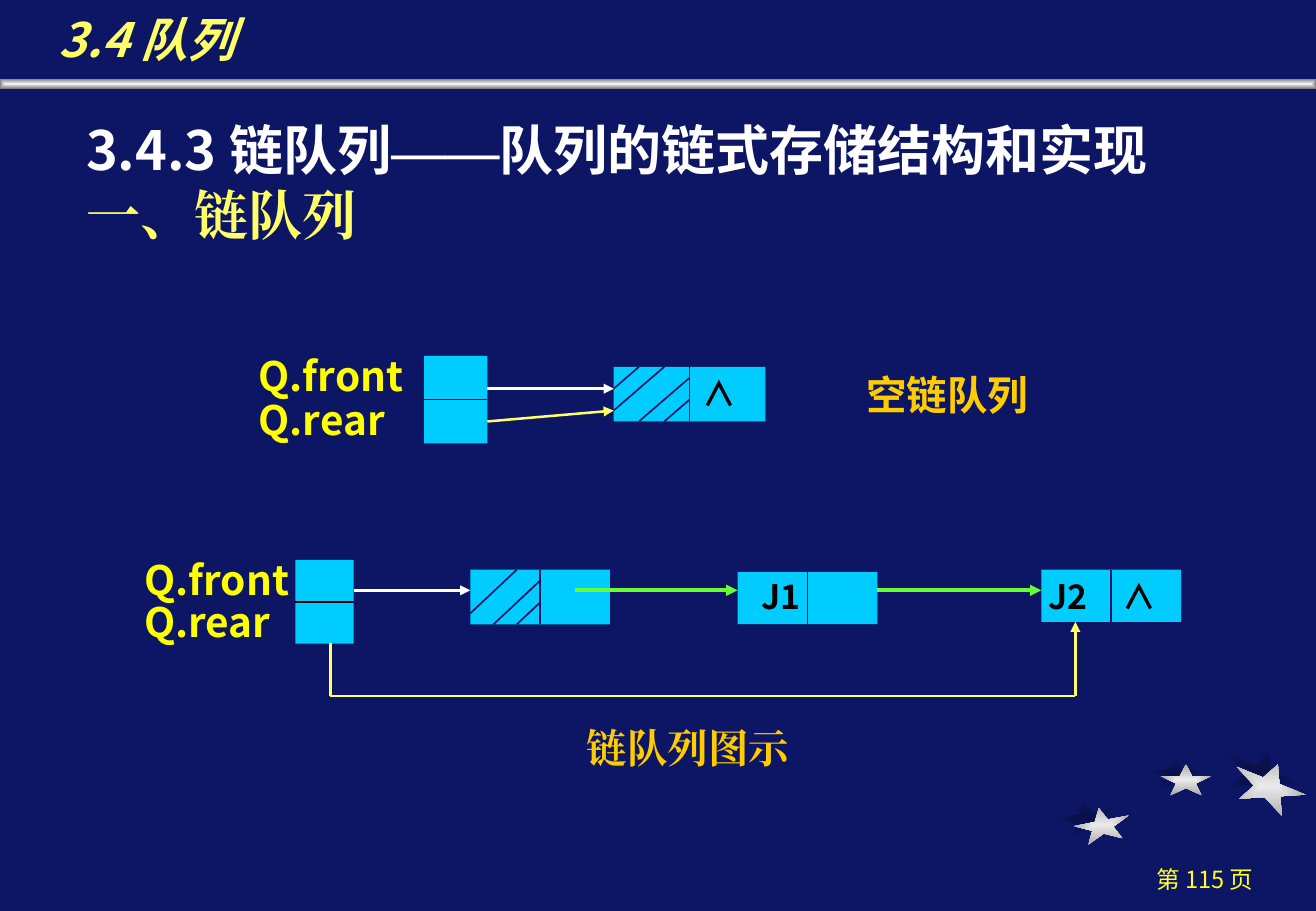
from dataclasses import dataclass

import pptx
import pptx.dml.color
import pptx.enum.dml
import pptx.enum.shapes
import pptx.enum.text
import pptx.oxml
import pptx.oxml.ns
import pptx.util
from pptx.util import Inches

SHAPES = pptx.enum.shapes.MSO_SHAPE
ALIGN = pptx.enum.text.PP_ALIGN


@dataclass(frozen=True)
class Theme:
    sans: str = "Noto Sans CJK SC"
    serif: str = "Times New Roman"
    navy: str = "0D1565"
    shade: str = "090F48"
    cyan: str = "00CCFF"
    white: str = "FFFFFF"
    black: str = "000000"
    pale_yellow: str = "FFFF66"
    yellow: str = "FFFF00"
    page_yellow: str = "FFFF25"
    gold: str = "FFCC00"
    green: str = "66FF33"
    silver: tuple = ("EAEAEA", "A7A7A7")
    steel: tuple = ("F2F2F2", "808080")
    heading_size: int = 32
    title_size: int = 28
    label_size: int = 24
    cell_size: int = 20
    page_size: int = 14


THEME = Theme()


@dataclass(frozen=True)
class Span:
    text: str
    size: int
    color: str
    font: str = THEME.sans
    bold: bool = True
    italic: bool = False


@dataclass(frozen=True)
class Star:
    left: float
    top: float
    width: float
    height: float
    turn: int
    shadow_dx: float
    shadow_dy: float


@dataclass(frozen=True)
class Node:
    left: float
    top: float
    width: float
    height: float
    hatches: tuple = ()


@dataclass(frozen=True)
class PointerPair:
    left: float
    top: float
    width: float
    height: float
    label_left: float
    label_width: float


@dataclass(frozen=True)
class Link:
    start: tuple
    end: tuple
    color: str
    weight: float = 1.5
    arrow: bool = True


def rgb(value: str):
    return pptx.dml.color.RGBColor.from_string(value)


def add_spans(para, spans: list) -> None:
    for item in spans:
        span = para.add_run()
        span.text = item.text
        font = span.font
        font.size, font.bold, font.italic = pptx.util.Pt(item.size), item.bold, item.italic
        font.color.rgb = rgb(item.color)
        font.name = item.font
        east_asian = pptx.oxml.parse_xml(
            f'<a:ea {pptx.oxml.ns.nsdecls("a")} typeface="{item.font}"/>')
        font._element.find(pptx.oxml.ns.qn("a:latin")).addnext(east_asian)


def add_text(page, left: float, top: float, width: float, height: float,
             paras: list, align=ALIGN.LEFT) -> None:
    box = page.shapes.add_textbox(Inches(left), Inches(top), Inches(width), Inches(height))
    frame = box.text_frame
    frame.word_wrap = True
    for index, spans in enumerate(paras):
        para = frame.add_paragraph() if index else frame.paragraphs[0]
        para.alignment = align
        add_spans(para, spans)


def add_block(page, kind, left: float, top: float, width: float, height: float):
    block = page.shapes.add_shape(kind, Inches(left), Inches(top), Inches(width), Inches(height))
    block.shadow.inherit = False
    block.line.fill.background()
    block.fill.solid()
    block.fill.fore_color.rgb = rgb(THEME.cyan)
    return block


def fill_from_centre(block, colors: tuple) -> None:
    block.fill.gradient()
    for stop, color, position in zip(block.fill.gradient_stops, colors, (0, 1)):
        stop.color.rgb = rgb(color)
        stop.position = position
    linear = block._element.spPr.find(".//" + pptx.oxml.ns.qn("a:lin"))
    radial = pptx.oxml.parse_xml(
        f'<a:path {pptx.oxml.ns.nsdecls("a")} path="shape">'
        '<a:fillToRect l="50000" t="50000" r="50000" b="50000"/></a:path>')
    linear.getparent().replace(linear, radial)


def add_link(page, link: Link) -> None:
    line = page.shapes.add_connector(
        pptx.enum.shapes.MSO_CONNECTOR.STRAIGHT,
        *(Inches(value) for value in link.start + link.end))
    line.line.color.rgb = rgb(link.color)
    line.line.width = pptx.util.Pt(link.weight)
    namespace = pptx.oxml.ns.nsdecls("a")
    if link.arrow:
        line.line._get_or_add_ln().append(
            pptx.oxml.parse_xml(f'<a:tailEnd {namespace} type="triangle"/>'))
    line._element.spPr.append(pptx.oxml.parse_xml(f"<a:effectLst {namespace}/>"))


def add_node(page, node: Node) -> None:
    add_block(page, SHAPES.RECTANGLE, node.left, node.top, node.width, node.height)
    half = node.width / 2
    # Ends are fractions of the left half; the first stroke is the divider
    for x1, y1, x2, y2 in ((1, 0, 1, 1),) + node.hatches:
        add_link(page, Link((node.left + x1 * half, node.top + y1 * node.height),
                            (node.left + x2 * half, node.top + y2 * node.height),
                            THEME.navy, 1, False))


def add_pointers(page, pair: PointerPair) -> None:
    add_block(page, SHAPES.RECTANGLE, pair.left, pair.top, pair.width, pair.height)
    middle = pair.top + pair.height / 2
    add_link(page, Link((pair.left, middle), (pair.left + pair.width, middle),
                        THEME.black, 1, False))
    for name, top in (("Q.front", pair.top), ("Q.rear", middle)):
        add_text(page, pair.label_left, top - 0.09, pair.label_width, 0.5,
                 [[Span(name, THEME.label_size, THEME.yellow)]])


LONG_HATCHES = ((2 / 3, 0, 0, 0.8), (1, 0.2, 1 / 3, 1), (1, 0.6, 2 / 3, 1))
STARS = [Star(8.84, 6.65, 0.46, 0.28, 349, 0.13, 0.06),
         Star(9.55, 6.29, 0.42, 0.26, 0, 0.08, 0.05),
         Star(10.14, 6.28, 0.61, 0.38, 22, 0.07, 0.1)]
POINTERS = [PointerPair(3.49, 2.93, 0.52, 0.72, 2.03, 1.56),
            PointerPair(2.43, 4.61, 0.48, 0.69, 1.09, 1.44)]
NODES = [Node(5.05, 3.02, 1.25, 0.45, LONG_HATCHES + ((1 / 3, 0, 0, 0.4),)),
         Node(3.87, 4.69, 1.15, 0.45, LONG_HATCHES),
         Node(6.07, 4.71, 1.15, 0.43),
         Node(8.57, 4.69, 1.15, 0.43)]
LINKS = [Link((4.01, 3.2), (5.05, 3.2), THEME.white),
         Link((4.01, 3.47), (5.05, 3.38), THEME.pale_yellow),
         Link((2.91, 4.86), (3.87, 4.86), THEME.white),
         Link((4.73, 4.86), (6.07, 4.86), THEME.green, 2.25),
         Link((7.22, 4.86), (8.57, 4.86), THEME.green, 2.25),
         Link((2.72, 5.29), (2.72, 5.73), THEME.pale_yellow, arrow=False),
         Link((2.72, 5.73), (8.85, 5.73), THEME.pale_yellow, arrow=False),
         Link((8.85, 5.73), (8.85, 5.12), THEME.pale_yellow)]
CELL_TEXTS = [("∧", 5.68, 3.02), ("J1", 6.17, 4.69), ("J2", 8.53, 4.69), ("∧", 9.14, 4.69)]
CAPTIONS = [("空链队列", 7.03, 3, THEME.sans), ("链队列图示", 4.73, 5.9, THEME.serif)]


def main() -> None:
    deck = pptx.Presentation()
    deck.slide_width, deck.slide_height = Inches(10.83), Inches(7.5)
    page = deck.slides.add_slide(deck.slide_layouts[5])
    page.background.fill.solid()
    page.background.fill.fore_color.rgb = rgb(THEME.navy)

    # Title and the bar below it
    title = page.shapes.title
    title.left, title.top = Inches(0.38), Inches(0)
    title.width, title.height = Inches(10.16), Inches(0.6)
    title.text_frame.vertical_anchor = pptx.enum.text.MSO_ANCHOR.BOTTOM
    title.text_frame.paragraphs[0].alignment = ALIGN.LEFT
    add_spans(title.text_frame.paragraphs[0],
              [Span("3.4 队列", THEME.title_size, THEME.pale_yellow, italic=True)])
    fill_from_centre(add_block(page, SHAPES.RECTANGLE, 0, 0.65, 10.83, 0.08), THEME.steel)

    # Stars, each over its shadow
    for shadowed, colors in ((1, (THEME.shade, THEME.navy)), (0, THEME.silver)):
        for star in STARS:
            block = add_block(page, SHAPES.STAR_5_POINT, star.left - shadowed * star.shadow_dx,
                              star.top - shadowed * star.shadow_dy, star.width, star.height)
            block.rotation = star.turn
            fill_from_centre(block, colors)

    # Page number and heading
    add_text(page, 9, 7.07, 1.83, 0.33,
             [[Span("第 115 页", THEME.page_size, THEME.page_yellow, bold=False)]], ALIGN.CENTER)
    size = THEME.heading_size
    add_text(page, 0.61, 0.91, 9.61, 1.17, [
        [Span("3.4.3 链队列", size, THEME.white),
         Span("——", size, THEME.white, THEME.serif),
         Span("队列的链式存储结构和实现", size, THEME.white)],
        [Span("一、链队列", size, THEME.pale_yellow, THEME.serif)]])

    # Empty queue and linked queue
    for pair in POINTERS:
        add_pointers(page, pair)
    for node in NODES:
        add_node(page, node)
    for link in LINKS:
        add_link(page, link)
    for text, left, top in CELL_TEXTS:
        add_text(page, left, top, 0.77, 0.43, [[Span(text, THEME.cell_size, THEME.black)]])
    for text, left, top, font in CAPTIONS:
        add_text(page, left, top, 2.01, 0.5,
                 [[Span(text, THEME.label_size, THEME.gold, font)]])

    deck.save("out.pptx")


if __name__ == "__main__":
    main()
